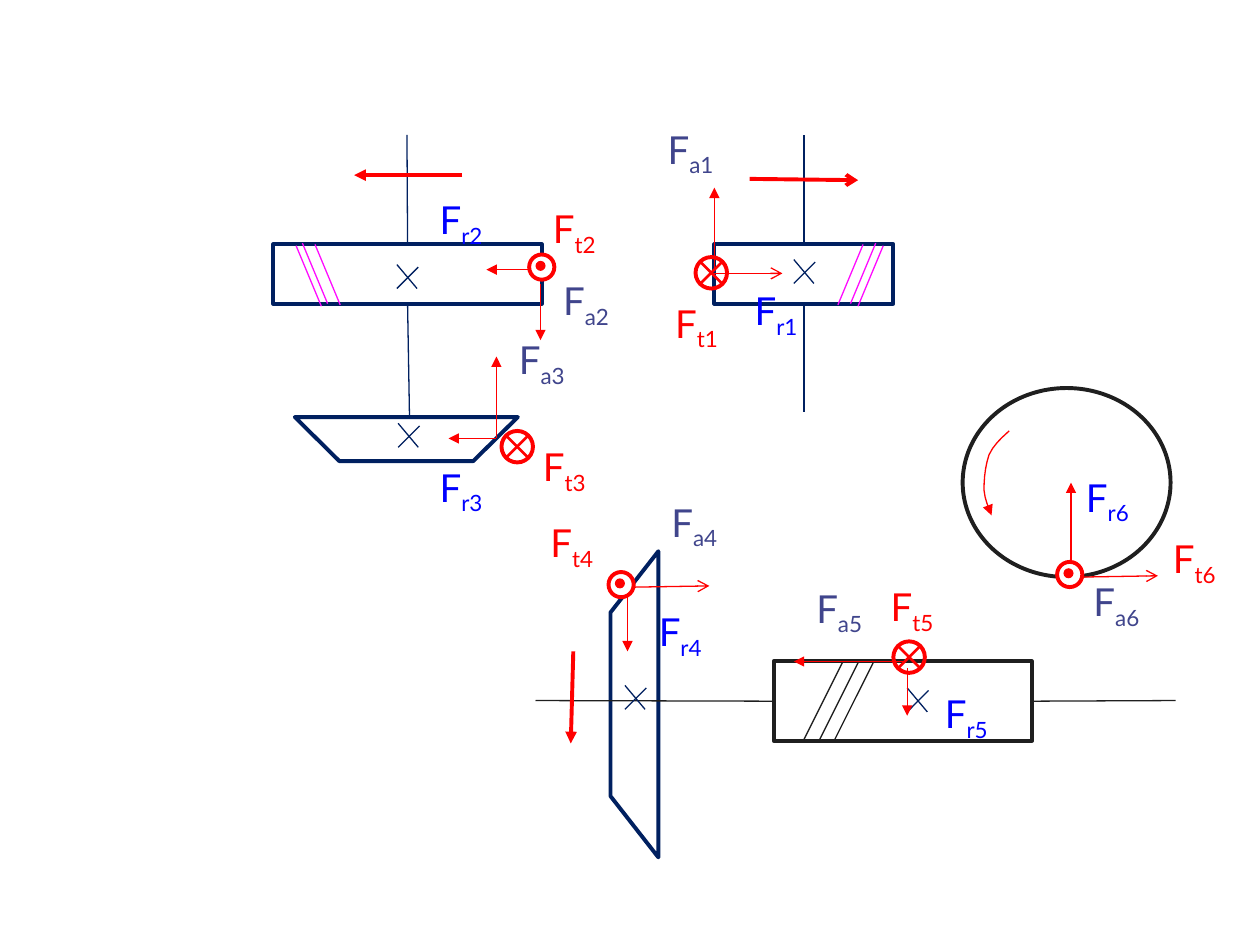
from lxml import etree
from pptx import Presentation
from pptx import util as u
from pptx.dml.color import RGBColor
from pptx.enum import shapes, text
from pptx.oxml.ns import qn

NAVY = RGBColor(0x00, 0x20, 0x60)
BLACK = RGBColor(0x1F, 0x1F, 0x1F)
RED = RGBColor(0xFF, 0x00, 0x00)
BLUE = RGBColor(0x00, 0x00, 0xFF)
SLATE = RGBColor(0x40, 0x45, 0x8C)
PINK = RGBColor(0xFF, 0x0A, 0xFF)
WHITE = RGBColor(0xFF, 0xFF, 0xFF)

deck = Presentation()
deck.slide_width, deck.slide_height = u.Inches(10), u.Inches(7.5)
page = deck.slides.add_slide(deck.slide_layouts[6]).shapes

# Grid of 1000 columns by 750 rows, all places below count in its cells
COL = deck.slide_width // 1000
ROW = deck.slide_height // 750
KIND = shapes.MSO_SHAPE


def draw(home, x1, y1, x2, y2, hue, size=0.75, tip=None):
    """Draw a straight line, with an arrowhead at its end if tip is given."""
    wire = home.add_connector(shapes.MSO_CONNECTOR.STRAIGHT,
                              x1 * COL, y1 * ROW, x2 * COL, y2 * ROW)
    wire.line.color.rgb = hue
    wire.line.width = u.Pt(size)
    if tip:
        etree.SubElement(wire.line._get_or_add_ln(), qn("a:tailEnd"), type=tip)
    etree.SubElement(wire._element.spPr, qn("a:effectLst"))
    return wire


def form(home, kind, x, y, w, h, edge=None, fill=None):
    """Add a preset shape with a thick edge and an optional fill."""
    part = home.add_shape(kind, x * COL, y * ROW, w * COL, h * ROW)
    part.shadow.inherit = False
    if fill is None:
        part.fill.background()
    else:
        part.fill.solid()
        part.fill.fore_color.rgb = fill
    if edge is None:
        part.line.fill.background()
    else:
        part.line.color.rgb = edge
        part.line.width = u.Pt(2.25)
    return part


# Gears
gear1 = form(page, KIND.RECTANGLE, 567, 194, 142, 47, NAVY)
gear2 = form(page, KIND.RECTANGLE, 217, 194, 213, 47, NAVY)
gear3 = form(page, KIND.FLOWCHART_MANUAL_OPERATION, 234, 331, 177, 35, NAVY)
gear4 = form(page, KIND.FLOWCHART_MANUAL_OPERATION, 382, 540, 243, 38, NAVY)
gear4.rotation = 90
gear5 = form(page, KIND.RECTANGLE, 614, 525, 205, 63, BLACK)
gear6 = form(page, KIND.OVAL, 764, 308, 165, 150, BLACK)

# Shafts, each joined to the side of a gear (0 top, 1 left, 2 bottom, 3 right)
for gear, side, x, y, hue in [
    (gear2, 0, 323, 107, NAVY), (gear2, 2, 325, 331, NAVY),
    (gear1, 0, 638, 107, NAVY), (gear1, 2, 638, 327, NAVY),
    (gear5, 1, 425, 556, BLACK), (gear5, 3, 933, 556, BLACK),
]:
    draw(page, x, y, x, y, hue).begin_connect(gear, side)

# Thin crosses at the gear centres
for x, y in [(315, 210), (630, 206), (316, 336), (496, 544), (720, 546)]:
    cross = page.add_group_shape().shapes
    draw(cross, x + 17, y + 2, x, y + 19, NAVY)
    draw(cross, x, y, x + 16, y + 19, NAVY)

# Slanted teeth: start points, run, drop
for tops, run, drop, hue in [
    ([(240, 193), (250, 194), (235, 195)], 20, 48, PINK),
    ([(695, 193), (685, 194), (701, 195)], -20, 48, PINK),
    ([(681, 526), (693, 526), (669, 525)], -31, 62, BLACK),
]:
    teeth = page.add_group_shape().shapes
    for x, y in tops:
        draw(teeth, x, y, x + run, y + drop, hue)

# Turning directions
for x1, y1, x2, y2, tip in [
    (595, 142, 681, 143, "arrow"),
    (367, 139, 281, 139, "triangle"),
    (455, 517, 453, 590, "triangle"),
]:
    draw(page, x1, y1, x2, y2, RED, 2.25, tip)

# Force arrows
for x1, y1, x2, y2, tip in [
    (567, 214, 567, 149, "triangle"), (567, 217, 621, 217, "arrow"),
    (429, 225, 429, 270, "triangle"), (421, 214, 386, 214, "triangle"),
    (394, 348, 394, 283, "triangle"), (394, 348, 356, 348, "triangle"),
    (503, 466, 563, 465, "arrow"), (498, 472, 498, 517, "triangle"),
    (717, 525, 630, 525, "triangle"), (720, 530, 720, 568, "triangle"),
    (858, 458, 919, 457, "arrow"), (850, 448, 850, 383, "triangle"),
]:
    draw(page, x1, y1, x2, y2, RED, tip=tip)

# Forces into the plane: circled crosses
for x, y in [(398, 342), (552, 204), (709, 509)]:
    mark = page.add_group_shape().shapes
    form(mark, KIND.OVAL, x, y, 25, 25, RED)
    draw(mark, x + 4, y + 21, x + 21, y + 4, RED, 1.5)
    draw(mark, x + 4, y + 4, x + 21, y + 21, RED, 1.5)

# Forces out of the plane: circled dots
for x, y in [(420, 202), (483, 454), (839, 446)]:
    mark = page.add_group_shape().shapes
    form(mark, KIND.OVAL, x, y, 20, 20, RED, WHITE)
    form(mark, KIND.OVAL, x + 5, y + 5, 8, 8, fill=RED)

# Curved turning arrow in the wheel, traced from three Bezier spans
knots = [(801, 342), (798, 345), (789, 352), (785, 361), (782, 370),
         (781, 380), (781, 389), (782, 399), (786, 405), (787, 409)]
trace = []
for i in (0, 3, 6):
    for t in (0.2, 0.4, 0.6, 0.8, 1):
        rate = ((1 - t) ** 3, 3 * t * (1 - t) ** 2, 3 * t * t * (1 - t), t ** 3)
        trace.append([sum(r * k[axis] for r, k in zip(rate, knots[i:i + 4])) * unit
                      for axis, unit in ((0, COL), (1, ROW))])
pen = page.build_freeform(knots[0][0] * COL, knots[0][1] * ROW)
pen.add_line_segments(trace, close=False)
turn = pen.convert_to_shape()
turn.shadow.inherit = False
turn.fill.background()
turn.line.color.rgb = RED
turn.line.width = u.Pt(0.75)
etree.SubElement(turn.line._get_or_add_ln(), qn("a:tailEnd"), type="triangle")

# Force labels: a axial, r radial, t tangential
HUES = {"a": SLATE, "r": BLUE, "t": RED}
for sub, x, y in [
    ("a1", 520, 95), ("r1", 589, 223), ("t1", 526, 233),
    ("a2", 437, 215), ("r2", 339, 151), ("t2", 429, 158),
    ("a3", 402, 262), ("r3", 339, 363), ("t3", 421, 347),
    ("a4", 523, 391), ("r4", 513, 478), ("t4", 427, 407),
    ("a5", 638, 459), ("r5", 740, 543), ("t5", 697, 458),
    ("a6", 858, 454), ("r6", 852, 371), ("t6", 921, 420),
]:
    frame = page.add_textbox(x * COL, y * ROW, 69 * COL, 47 * ROW).text_frame
    frame.word_wrap = True
    frame.auto_size = text.MSO_AUTO_SIZE.SHAPE_TO_FIT_TEXT
    for word, base in (("F", 0), (sub, -25000)):
        run = frame.paragraphs[0].add_run()
        run.text = word
        for key, val in {"name": "Lato", "size": u.Pt(22)}.items():
            setattr(run.font, key, val)
        run.font.color.rgb = HUES[sub[0]]
        if base:
            run._r.get_or_add_rPr().set("baseline", str(base))

deck.save("out.pptx")
